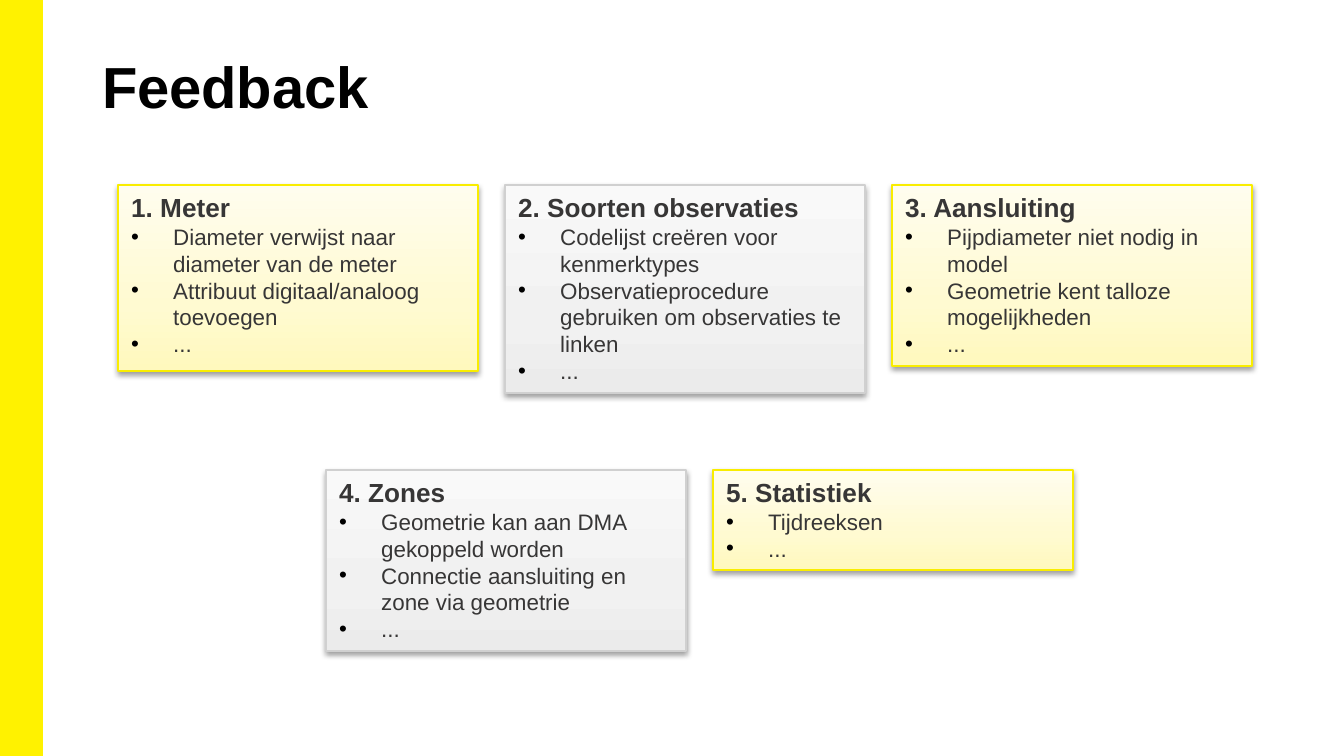
"""Build the Feedback slide: a title above two rows of note cards."""
from dataclasses import dataclass
from typing import Any

from lxml.etree import fromstring
from pptx import Presentation
from pptx.dml.color import RGBColor as Rgb
from pptx.enum.shapes import MSO_SHAPE as Shape
from pptx.enum.text import MSO_ANCHOR as Anchor, MSO_AUTO_SIZE as Fit, PP_ALIGN as Align
from pptx.oxml.ns import nsdecls
from pptx.util import Pt

SCALE = 9144000 / 1344
NS = nsdecls("a")


@dataclass(frozen=True)
class Tone:
    """Line colour and the gradient colours from bottom to top."""
    line: str
    grad: tuple[str, str, str]


@dataclass(frozen=True)
class Theme:
    """Colours, font and type sizes."""
    font: str = "Arial"
    bar: str = "FFF200"
    black: str = "000000"
    ink: str = "373636"
    title: int = 31
    head: int = 14
    body: int = 12
    sun: Tone = Tone("F9ED00", ("FFF9BD", "FFFAD1", "FFFDEE"))
    ash: Tone = Tone("D0D0D0", ("EBEBEB", "F1F1F1", "F9F9F9"))


@dataclass(frozen=True)
class Card:
    """One note: its height, colours, heading and points."""
    high: int
    tone: Tone
    head: str
    points: tuple[str, ...]


@dataclass(frozen=True)
class Row:
    """A line of cards with its starting corner."""
    left: int
    top: int
    cards: tuple[Card, ...]


THEME = Theme()
WIDE, STEP, INDENT = 360, 387, 42
ROWS = (
    Row(118, 185, (
        Card(186, THEME.sun, "1. Meter", (
            "Diameter verwijst naar diameter van de meter",
            "Attribuut digitaal/analoog toevoegen", "...")),
        Card(208, THEME.ash, "2. Soorten observaties", (
            "Codelijst creëren voor kenmerktypes",
            "Observatieprocedure gebruiken om observaties te linken", "...")),
        Card(181, THEME.sun, "3. Aansluiting", (
            "Pijpdiameter niet nodig in model",
            "Geometrie kent talloze mogelijkheden", "...")),
    )),
    Row(326, 470, (
        Card(181, THEME.ash, "4. Zones", (
            "Geometrie kan aan DMA gekoppeld worden",
            "Connectie aansluiting en zone via geometrie", "...")),
        Card(100, THEME.sun, "5. Statistiek", ("Tijdreeksen", "...")),
    )),
)


def px(num: int) -> int:
    """Turn px into EMU."""
    return round(num * SCALE)


def put(item: Any, vals: dict[str, Any]) -> None:
    """Set each named value on an object."""
    for name, val in vals.items():
        setattr(item, name, val)


def write(para: Any, text: str, size: int, color: str, bold: bool) -> None:
    """Add a formatted run to a paragraph."""
    run = para.add_run()
    run.text = text
    put(run.font, {"name": THEME.font, "size": Pt(size), "bold": bold})
    run.font.color.rgb = Rgb.from_string(color)


def bullet(para: Any) -> None:
    """Give a paragraph a hanging bullet."""
    props = para._p.get_or_add_pPr()
    props.set("marL", str(px(INDENT)))
    props.set("indent", str(-px(INDENT)))
    for part in (
        f'<a:buClr {NS}><a:srgbClr val="{THEME.black}"/></a:buClr>',
        f'<a:buFont {NS} typeface="{THEME.font}"/>',
        f'<a:buChar {NS} char="•"/>',
    ):
        props.append(fromstring(part))


def box(slide: Any, left: int, top: int, wide: int, high: int, line: str, width: float) -> Any:
    """Add a rectangle with a coloured line and no shadow."""
    shape = slide.shapes.add_shape(Shape.RECTANGLE, px(left), px(top), px(wide), px(high))
    shape.shadow.inherit = False
    shape.line.color.rgb = Rgb.from_string(line)
    shape.line.width = Pt(width)
    return shape


def shade(shape: Any, tone: Tone) -> None:
    """Fill a card with its gradient and give it a soft shadow."""
    stops = "".join(f'<a:gs pos="{pos}"><a:srgbClr val="{color}"/></a:gs>'
                    for pos, color in zip((0, 35000, 100000), tone.grad))
    props = shape._element.spPr
    props.find("{*}prstGeom").addnext(fromstring(
        f'<a:gradFill {NS} rotWithShape="1"><a:gsLst>{stops}</a:gsLst>'
        '<a:lin ang="16200000" scaled="0"/></a:gradFill>'))
    props.find("{*}effectLst").append(fromstring(
        f'<a:outerShdw {NS} blurRad="{Pt(3.1)}" dist="{Pt(1.6)}" dir="5400000" rotWithShape="0">'
        f'<a:srgbClr val="{THEME.black}"><a:alpha val="38000"/></a:srgbClr></a:outerShdw>'))


def draw(slide: Any, card: Card, left: int, top: int) -> None:
    """Draw one card with its heading and points."""
    shape = box(slide, left, top, WIDE, card.high, card.tone.line, 0.75)
    shade(shape, card.tone)
    frame = shape.text_frame
    put(frame, {"word_wrap": True, "auto_size": Fit.SHAPE_TO_FIT_TEXT,
                "vertical_anchor": Anchor.TOP})
    para = frame.paragraphs[0]
    para.alignment = Align.LEFT
    write(para, card.head, THEME.head, THEME.ink, True)
    for point in card.points:
        para = frame.add_paragraph()
        para.alignment = Align.LEFT
        bullet(para)
        write(para, point, THEME.body, THEME.ink, False)


def main() -> None:
    """Build and save the slide."""
    deck = Presentation()
    put(deck, {"slide_width": px(1344), "slide_height": px(756)})
    slide = deck.slides.add_slide(deck.slide_layouts[5])
    bar = box(slide, 0, 0, 42, 756, THEME.bar, 1)
    bar.fill.solid()
    bar.fill.fore_color.rgb = Rgb.from_string(THEME.bar)

    title = slide.shapes.title
    put(title, {"left": px(93), "top": px(40), "width": px(1262), "height": px(109)})
    put(title.text_frame, {"margin_left": px(9), "margin_right": px(9), "margin_top": px(11),
                           "margin_bottom": px(5), "vertical_anchor": Anchor.TOP,
                           "auto_size": Fit.NONE})
    para = title.text_frame.paragraphs[0]
    para.alignment = Align.LEFT
    write(para, "Feedback", THEME.title, THEME.black, True)

    for row in ROWS:
        for col, card in enumerate(row.cards):
            draw(slide, card, row.left + col * STEP, row.top)
    deck.save("out.pptx")


if __name__ == "__main__":
    main()
